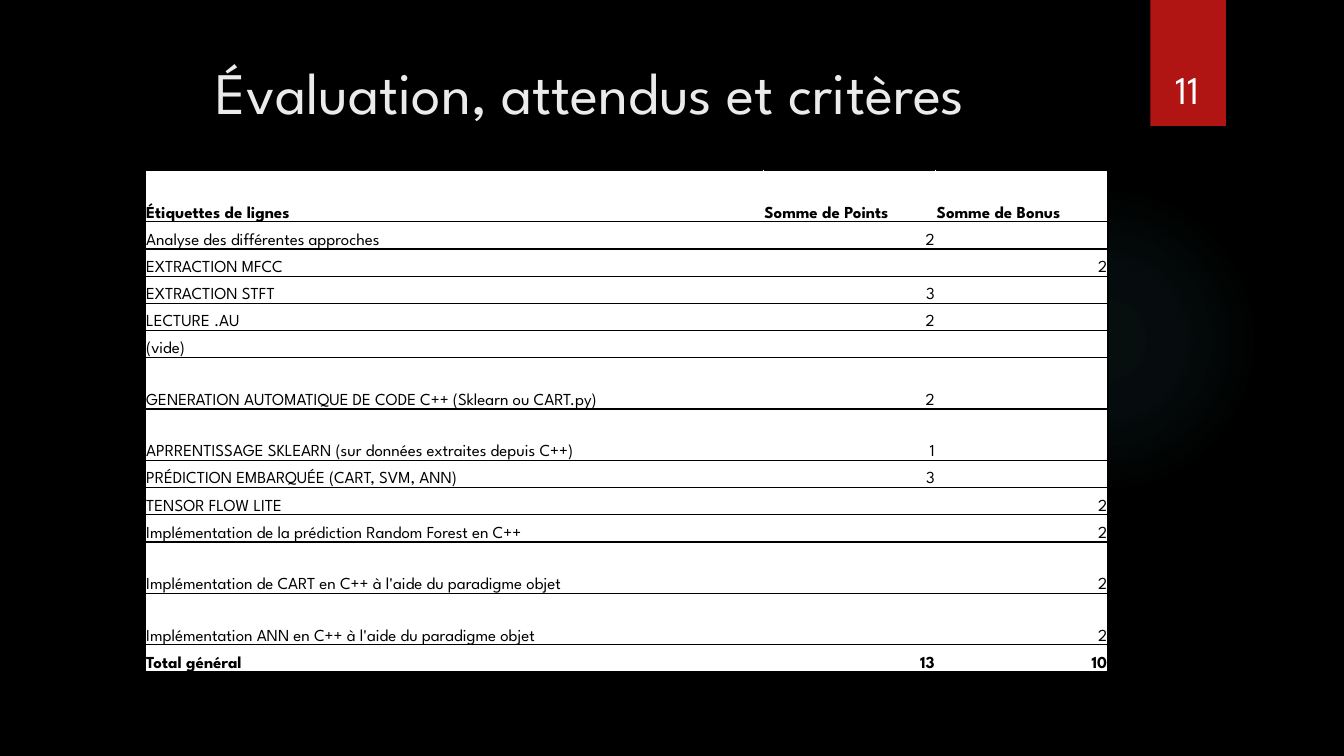
from lxml import etree
from pptx import Presentation
from pptx.dml.color import RGBColor
from pptx.enum import shapes, text
from pptx.oxml import parse_xml
from pptx.oxml.ns import nsdecls, qn
from pptx.util import Inches, Pt

FONT = "League Spartan"
COL_WIDTHS = (6.13, 1.71, 1.71)
ROW, TALL_ROW = 0.27, 0.51

# label, points, bonus, tall row
CRITERIA = [
    ("Étiquettes de lignes", "Somme de Points", "Somme de Bonus", True),
    ("Analyse des différentes approches", "2", "", False),
    ("EXTRACTION MFCC", "", "2", False),
    ("EXTRACTION STFT", "3", "", False),
    ("LECTURE .AU", "2", "", False),
    ("(vide)", "", "", False),
    ("GENERATION AUTOMATIQUE DE CODE C++ (Sklearn ou CART.py)", "2", "", True),
    ("APRRENTISSAGE SKLEARN (sur données extraites depuis C++)", "1", "", True),
    ("PRÉDICTION EMBARQUÉE (CART, SVM, ANN)", "3", "", False),
    ("TENSOR FLOW LITE", "", "2", False),
    ("Implémentation de la prédiction Random Forest en C++", "", "2", False),
    ("Implémentation de CART en C++ à l'aide du paradigme objet", "", "2", True),
    ("Implémentation ANN en C++ à l'aide du paradigme objet", "", "2", True),
    ("Total général", "13", "10", False),
]


def rgb(hex_color):
    return RGBColor.from_string(hex_color)


def write(tf, words, size, color, align, bold=False):
    tf.text = words
    p = tf.paragraphs[0]
    p.alignment = align
    for r in p.runs:
        r.font.name, r.font.size, r.font.bold = FONT, Pt(size), bold
        r.font.color.rgb = rgb(color)
    if not words:  # keeps empty cells as low as their row
        etree.SubElement(p._p, qn("a:endParaRPr"), sz=str(size * 100))


def place(sp, x, y, w, h):
    sp.left, sp.top, sp.width, sp.height = map(Inches, (x, y, w, h))


def add_plain_shape(s, kind, x, y, w, h):
    sp = s.shapes.add_shape(kind, *map(Inches, (x, y, w, h)))
    sp.shadow.inherit = False
    sp.line.fill.background()
    return sp


def add_glow(s, x, y, size):
    sp = add_plain_shape(s, shapes.MSO_SHAPE.OVAL, x, y, size, size)
    stops = "".join(
        f'<a:gs pos="{pos}000"><a:srgbClr val="50B9C1"><a:alpha val="{alpha}000"/></a:srgbClr></a:gs>'
        for pos, alpha in ((0, 7), (36, 6), (69, 0)))
    grad = parse_xml(
        f'<a:gradFill {nsdecls("a")} rotWithShape="1"><a:gsLst>{stops}</a:gsLst><a:path path="circle">'
        '<a:fillToRect l="50000" t="50000" r="50000" b="50000"/></a:path></a:gradFill>')
    sp._element.spPr.find(qn("a:prstGeom")).addnext(grad)


def add_page_tab(s, x, y, w, h):
    tab = add_plain_shape(s, shapes.MSO_SHAPE.RECTANGLE, x, y, w, h)
    tab.fill.solid()
    tab.fill.fore_color.rgb = rgb("B01513")
    number = s.shapes.add_textbox(*map(Inches, (x - 0.09, y + 0.32, w + 0.17, 0.84)))
    tf = number.text_frame
    tf.word_wrap = True
    tf.vertical_anchor = text.MSO_ANCHOR.BOTTOM
    write(tf, "11", 28, "FFFFFF", text.PP_ALIGN.CENTER)


def add_title(s, x, y, w, h):
    title = s.shapes.title
    place(title, x, y, w, h)
    title.text_frame.vertical_anchor = text.MSO_ANCHOR.TOP
    write(title.text_frame, "Évaluation, attendus et critères", 42, "EBEBEB", text.PP_ALIGN.CENTER)


def set_borders(cell, sides):
    tcPr = cell._tc.get_or_add_tcPr()
    for i, side in enumerate(sides):
        tcPr.insert(i, parse_xml(
            f'<a:ln{side} {nsdecls("a")} w="12700"><a:solidFill><a:srgbClr val="000000"/>'
            f'</a:solidFill></a:ln{side}>'))


def add_criteria_table(s, x, y):
    heights = [TALL_ROW if row[-1] else ROW for row in CRITERIA]
    frame = s.shapes.add_table(len(CRITERIA), len(COL_WIDTHS), *map(
        Inches, (x, y, sum(COL_WIDTHS), sum(heights))))
    table = frame.table
    for col, width in zip(table.columns, COL_WIDTHS):
        col.width = Inches(width)
    last = len(CRITERIA) - 1
    for i, (*words, _) in enumerate(CRITERIA):
        table.rows[i].height = Inches(heights[i])
        for j, word in enumerate(words):
            cell = table.cell(i, j)
            cell.fill.solid()
            cell.fill.fore_color.rgb = rgb("FFFFFF")
            cell.margin_left = cell.margin_right = cell.margin_top = Inches(0.01)
            cell.margin_bottom = 0
            cell.vertical_anchor = text.MSO_ANCHOR.BOTTOM
            align = text.PP_ALIGN.RIGHT if i and j else text.PP_ALIGN.LEFT
            write(cell.text_frame, word, 12, "000000", align, bold=i in (0, last))
            set_borders(cell, ("LTB", "TB", "RTB")[j])


def main():
    prs = Presentation()
    prs.slide_width, prs.slide_height = Inches(13.33), Inches(7.5)
    s = prs.slides.add_slide(prs.slide_layouts[5])
    s.background.fill.solid()
    s.background.fill.fore_color.rgb = rgb("000000")
    # Decoration and page number
    add_glow(s, 9.41, 1.83, 3.08)
    add_page_tab(s, 11.41, 0, 0.75, 1.25)
    # Content
    add_title(s, 0.71, 0.5, 10.29, 1.53)
    add_criteria_table(s, 1.44, 1.69)
    prs.save("out.pptx")


if __name__ == "__main__":
    main()
